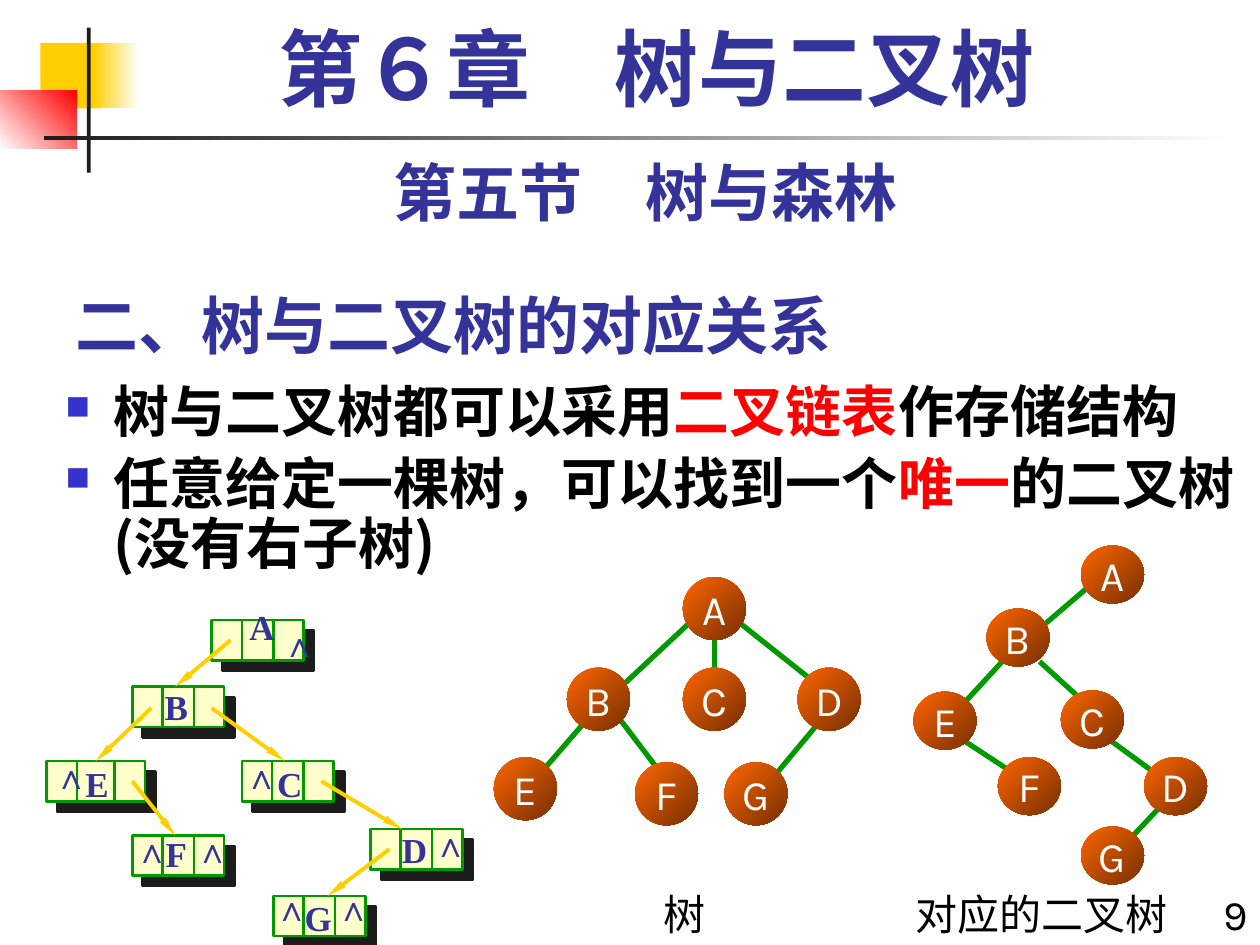
from pptx import Presentation
from pptx.dml.color import RGBColor
from pptx.enum.shapes import MSO_CONNECTOR as Connector, MSO_SHAPE as Preset
from pptx.enum.text import MSO_ANCHOR as Anchor, PP_ALIGN as Align
from pptx.oxml import parse_xml
from pptx.oxml.ns import nsdecls
from pptx.util import Inches, Pt

COLOURS = {
    "gold": "FFCF01", "white": "FFFFFF", "red": "FF0000", "ink": "1C1C1C",
    "navy": "333399", "bullet": "3333CC", "black": "000000", "green": "009900",
    "orange": "FF6600", "brown": "762F00", "cream": "FFFFCC",
}
SANS, CJK, SERIF = "Karla", "Noto Sans CJK SC", "Times New Roman"


def colour(name):
    """Return the palette colour of that name."""
    return RGBColor.from_string(COLOURS[name])


def element(tag, body="", **attributes):
    """Make one DrawingML element."""
    settings = " ".join(f'{key}="{value}"' for key, value in attributes.items())
    return parse_xml(f"<a:{tag} {nsdecls('a')} {settings}>{body}</a:{tag}>")


class SlideBuilder:
    """Holds the slide and the style of its elements."""

    def __init__(self, slide):
        self.slide = slide
        self.shapes = slide.shapes

    def start_group(self):
        """Send the following elements to a new group."""
        self.shapes = self.slide.shapes.add_group_shape().shapes

    def end_group(self):
        """Send the following elements to the slide itself."""
        self.shapes = self.slide.shapes

    def format_run(self, run, size, font, tint, bold):
        """Set the look of a run, for Latin and Chinese alike."""
        run.font.size = Pt(size)
        run.font.bold = bold
        run.font.color.rgb = colour(tint)
        run.font.name = font
        run.font._element.append(element("ea", typeface=CJK))

    def block(self, preset, box, fill, end=None, angle=0):
        """Add a shape with a solid fill, or a gradient when an end is given."""
        shape = self.shapes.add_shape(preset, *map(Inches, box))
        shape.shadow.inherit = False
        shape.line.fill.background()
        if end:
            shape.fill.gradient()
            shape.fill.gradient_angle = (360 - angle) % 360
            for stop, tint in zip(shape.fill.gradient_stops, (fill, end)):
                stop.color.rgb = colour(tint)
        else:
            shape.fill.solid()
            shape.fill.fore_color.rgb = colour(fill)
        return shape

    def fill_text(self, shape, text, size, font, tint, bold, align, wrap, anchor):
        """Put one formatted paragraph in a shape."""
        frame = shape.text_frame
        frame.text = text
        frame.word_wrap = wrap
        frame.vertical_anchor = anchor
        paragraph = frame.paragraphs[0]
        paragraph.alignment = align
        self.format_run(paragraph.runs[0], size, font, tint, bold)
        return paragraph

    def text(self, box, text, size, font=SANS, tint="black", bold=False,
             align=Align.LEFT, wrap=True, anchor=Anchor.TOP):
        """Add a text box of one paragraph."""
        shape = self.shapes.add_textbox(*map(Inches, box))
        return self.fill_text(shape, text, size, font, tint, bold, align, wrap, anchor)

    def bullets(self, box, items):
        """Add a bulleted list whose items are lists of text and colour."""
        frame = self.shapes.add_textbox(*map(Inches, box)).text_frame
        frame.word_wrap = True
        for index, parts in enumerate(items):
            paragraph = frame.add_paragraph() if index else frame.paragraphs[0]
            paragraph.line_spacing = 0.9
            paragraph.space_before = Pt(6.4)
            for text, tint in parts:
                run = paragraph.add_run()
                run.text = text
                self.format_run(run, 32, CJK, tint, True)
            properties = paragraph._p.get_or_add_pPr()
            properties.set("marL", str(Inches(0.38)))
            properties.set("indent", str(-Inches(0.38)))
            properties.append(element("buClr", f'<a:srgbClr val="{COLOURS["bullet"]}"/>'))
            properties.append(element("buSzPct", val=60000))
            properties.append(element("buChar", char="■"))

    def line(self, ends, tint="green", width=3, arrow=False):
        """Add a straight line, with an arrowhead at its end if wanted."""
        connector = self.shapes.add_connector(Connector.STRAIGHT, *map(Inches, ends))
        connector.line.width = Pt(width)
        connector.line.color.rgb = colour(tint)
        if arrow:
            connector.line._get_or_add_ln().append(
                element("tailEnd", type="triangle", w="sm", len="lg"))
        connector._element.spPr.append(element("effectLst"))

    def tree(self, edges, nodes, height):
        """Add a group of edges and round lettered nodes."""
        self.start_group()
        for ends in edges:
            self.line(ends)
        for letter, (left, top) in nodes.items():
            shape = self.block(Preset.OVAL, (left, top, 0.5, height), "orange", "brown", 45)
            shape.text_frame.margin_left = shape.text_frame.margin_right = 0
            self.fill_text(shape, letter, 24, SANS, "white", False,
                           Align.CENTER, False, Anchor.MIDDLE)
        self.end_group()

    def record(self, left, top, width=0.73, height=0.32, field=0.24):
        """Add a shadowed list record of three fields."""
        shape = self.block(Preset.RECTANGLE, (left, top, width, height), "cream")
        shape.line.color.rgb = colour("green")
        shape.line.width = Pt(1.5)
        shape._element.spPr.effectLst.append(element(
            "outerShdw", f'<a:srgbClr val="{COLOURS["ink"]}"/>',
            blurRad=0, dist=Pt(8.5), dir=45 * 60000, algn="ctr", rotWithShape=0))
        for x in (left + field, left + width - field):
            self.line((x, top, x, top + height), width=1.5)

    def label(self, text, left, top, width):
        """Add a bold letter or null mark over a record."""
        self.text((left, top, width, 0.43), text, 20, SERIF, "navy", True,
                  Align.CENTER, False, Anchor.MIDDLE)


def main():
    """Build the slide and save it."""
    presentation = Presentation()
    presentation.slide_width, presentation.slide_height = Inches(10), Inches(7.5)
    builder = SlideBuilder(presentation.slides.add_slide(presentation.slide_layouts[6]))

    for box, *fill in (
        ((0.32, 0.34, 0.48, 0.52), "gold"),
        ((0.74, 0.34, 0.36, 0.52), "gold", "white"),
        ((0, 0.72, 0.61, 0.46), "white", "red", 315),
        ((0.69, 0.22, 0.03, 1.15), "ink"),
        ((0.35, 1.08, 9.45, 0.03), "ink", "white"),
    ):
        builder.block(Preset.RECTANGLE, box, *fill)

    builder.text((0.5, 2.17, 8.91, 0.75), "二、树与二叉树的对应关系", 36, CJK, "navy", True,
                 anchor=Anchor.BOTTOM)
    builder.text((9.33, 7, 0.67, 0.5), "9", 24, align=Align.RIGHT)
    builder.text((0.5, 1.17, 9.25, 0.7), "第五节　树与森林", 36, SANS, "navy", True, Align.CENTER)
    builder.bullets((0.42, 3, 9.58, 4.5), [
        [("树与二叉树都可以采用", "black"), ("二叉链表", "red"), ("作存储结构", "black")],
        [("任意给定一棵树，可以找到一个", "black"), ("唯一", "red"),
         ("的二叉树(没有右子树)", "black")],
    ])
    chapter = builder.text((0.67, 0.17, 9.08, 0.83), "第６章　树与二叉树", 48, SERIF, "navy",
                           True, Align.CENTER)
    chapter.line_spacing = 0.9

    builder.tree(
        [(5.79, 4.88, 6.42, 5.38), (5.54, 4.88, 4.92, 5.46), (4.79, 5.56, 4.33, 6.09),
         (4.83, 5.59, 5.21, 6.09), (6.62, 5.59, 6.17, 6.13), (5.67, 5.06, 5.67, 5.31)],
        {"A": (5.42, 4.58), "E": (3.92, 6.01), "B": (4.5, 5.3), "G": (5.75, 6.05),
         "D": (6.33, 5.3), "F": (5.04, 6.05), "C": (5.42, 5.3)}, 0.5)

    builder.start_group()
    for record in ((1.68, 4.92), (1.05, 5.45), (0.37, 6.04, 0.78), (1.92, 6.04),
                   (2.94, 6.58), (2.17, 7.11), (1.05, 6.63)):
        builder.record(*record)
    for ends in ((1.83, 5.08, 1.39, 5.45), (1.2, 5.62, 0.76, 6.04), (3.09, 6.74, 2.6, 7.11),
                 (1.05, 6.2, 1.39, 6.63), (1.68, 5.62, 2.26, 6.04), (2.55, 6.2, 3.19, 6.58)):
        builder.line(ends, "gold", 2.25, arrow=True)
    for letter, left, top in (("B", 1.2, 5.39), ("C", 2.1, 6), ("D", 3.09, 6.53),
                              ("G", 2.32, 7.07), ("F", 1.2, 6.56), ("E", 0.57, 6),
                              ("A", 1.88, 4.76)):
        builder.label(letter, left, top, 0.4)
    for left, top in ((0.33, 5.94), (1.84, 5.94), (0.97, 6.53), (1.45, 6.53),
                      (2.08, 6.99), (2.57, 6.99), (3.34, 6.48), (2.14, 4.89)):
        builder.label("∧", left, top, 0.37)
    builder.end_group()

    builder.tree(
        [(8.79, 5.86, 9.42, 6.32), (8.88, 4.45, 8.25, 4.99), (8.12, 5.07, 7.67, 5.56),
         (7.5, 5.78, 8.08, 6.16), (9.38, 6.22, 8.92, 6.71), (8.25, 5.25, 8.58, 5.55)],
        {"A": (8.58, 4.33), "B": (7.83, 4.83), "G": (8.58, 6.56), "D": (9.08, 6.01),
         "F": (7.92, 6.01), "C": (8.42, 5.48), "E": (7.25, 5.49)}, 0.46)

    builder.text((5.17, 7, 0.83, 0.5), "树", 24)
    builder.text((7.17, 7, 2.33, 0.5), "对应的二叉树", 24)
    presentation.save("out.pptx")


if __name__ == "__main__":
    main()
